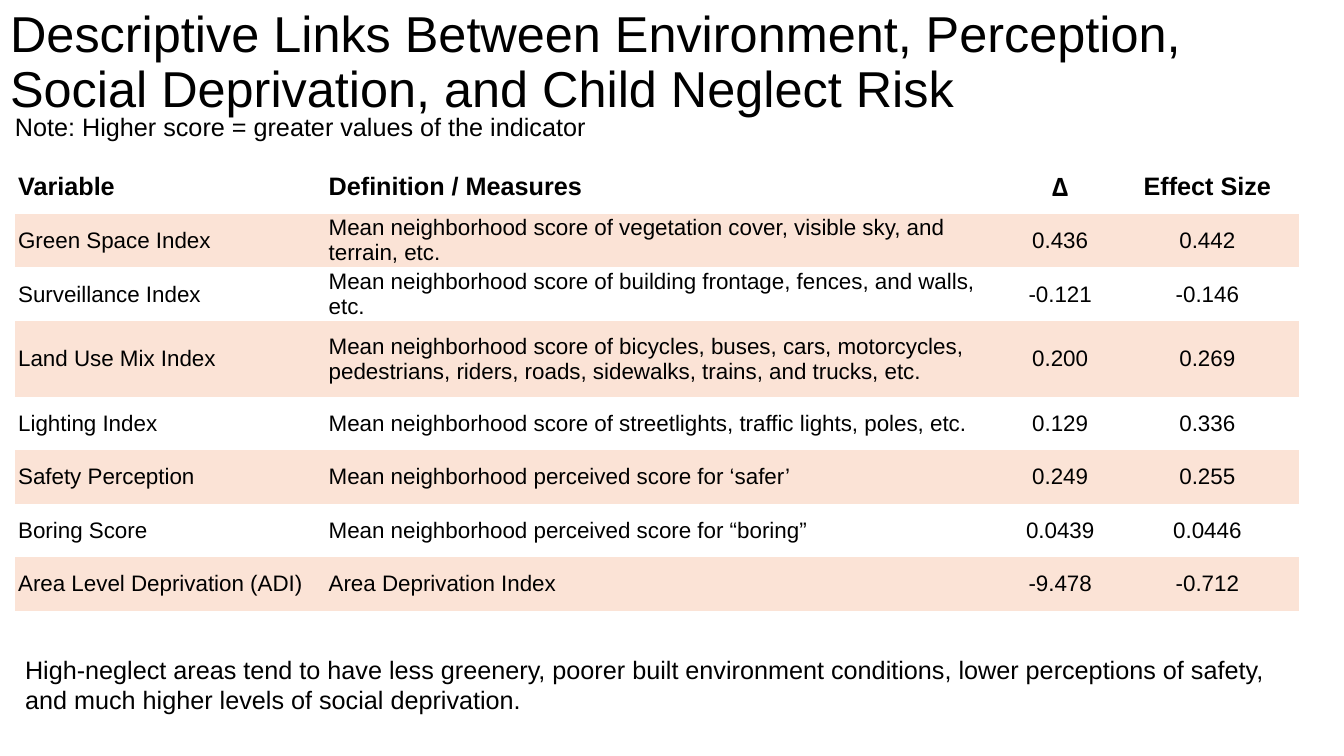
from pptx import Presentation
from pptx.dml.color import RGBColor
from pptx.enum.text import MSO_ANCHOR, MSO_AUTO_SIZE, PP_ALIGN
from pptx.oxml.ns import qn
from pptx.util import Inches, Pt

COLORS = {"text": "000000", "band": "FBE3D6"}
NO_GRID_STYLE = "{2D5ABB26-0587-4C30-8999-92F81FD0307C}"
MARGIN, CONTENT_WIDTH = 0.15, 12.74


def style(paragraph, size, bold=False, font="Arial"):
    for run in paragraph.runs:
        run.font.name = font
        run.font.size = Pt(size)
        run.font.bold = bold
        run.font.color.rgb = RGBColor.from_string(COLORS["text"])


deck = Presentation()
deck.slide_width, deck.slide_height = Inches(13.33), Inches(7.5)
slide = deck.slides.add_slide(deck.slide_layouts[5])

# Title
title = slide.shapes.title
title.left, title.top = 0, 0
title.width, title.height = Inches(12.26), Inches(1.26)
title.text_frame.text = ("Descriptive Links Between Environment, Perception, "
                         "Social Deprivation, and Child Neglect Risk")
title.text_frame.vertical_anchor = MSO_ANCHOR.MIDDLE
title.text_frame.auto_size = MSO_AUTO_SIZE.NONE
heading = title.text_frame.paragraphs[0]
heading.alignment = PP_ALIGN.LEFT
heading.line_spacing = 0.9
heading.space_after = Pt(6)
style(heading, 36)

# Indicator table: header row, then banded rows
indicators = [
    ("Variable", "Definition / Measures", "Δ", "Effect Size"),
    ("Green Space Index",
     "Mean neighborhood score of vegetation cover, visible sky, and terrain, etc.",
     "0.436", "0.442"),
    ("Surveillance Index",
     "Mean neighborhood score of building frontage, fences, and walls, etc.",
     "-0.121", "-0.146"),
    ("Land Use Mix Index",
     "Mean neighborhood score of bicycles, buses, cars, motorcycles, pedestrians, "
     "riders, roads, sidewalks, trains, and trucks, etc.",
     "0.200", "0.269"),
    ("Lighting Index",
     "Mean neighborhood score of streetlights, traffic lights, poles, etc.",
     "0.129", "0.336"),
    ("Safety Perception", "Mean neighborhood perceived score for ‘safer’",
     "0.249", "0.255"),
    ("Boring Score", "Mean neighborhood perceived score for “boring”",
     "0.0439", "0.0446"),
    ("Area Level Deprivation (ADI)", "Area Deprivation Index",
     "-9.478", "-0.712"),
]
column_widths = [3.08, 6.73, 1.11, 1.81]
row_height, tall_row_height = 0.53, 0.75

table = slide.shapes.add_table(
    len(indicators), len(column_widths), Inches(MARGIN), Inches(1.59),
    Inches(CONTENT_WIDTH), Inches(4.51)).table
table.first_row = table.horz_banding = False
table._tbl.tblPr.find(qn("a:tableStyleId")).text = NO_GRID_STYLE

for column, width in zip(table.columns, column_widths):
    column.width = Inches(width)

for r, indicator in enumerate(indicators):
    is_tall = indicator[0] == "Land Use Mix Index"
    table.rows[r].height = Inches(tall_row_height if is_tall else row_height)
    for c, value in enumerate(indicator):
        cell = table.cell(r, c)
        cell.margin_left = cell.margin_right = Inches(0.03)
        cell.margin_top = cell.margin_bottom = Inches(0.02)
        cell.vertical_anchor = MSO_ANCHOR.MIDDLE
        if r % 2:
            cell.fill.solid()
            cell.fill.fore_color.rgb = RGBColor.from_string(COLORS["band"])
        else:
            cell.fill.background()
        cell.text_frame.text = value
        entry = cell.text_frame.paragraphs[0]
        entry.alignment = PP_ALIGN.CENTER if c >= 2 else PP_ALIGN.LEFT
        style(entry, 16 if r else 18, bold=r == 0,
              font="Cabin" if value == "Δ" else "Arial")

# Note above the table and conclusion below it
remarks = [
    (0.05, 1.06, 6.77, 0.4, "Note: Higher score = greater values of the indicator"),
    (MARGIN, 6.44, CONTENT_WIDTH, 0.71,
     "High-neglect areas tend to have less greenery, poorer built environment "
     "conditions, lower perceptions of safety, and much higher levels of social "
     "deprivation."),
]
for left, top, width, height, wording in remarks:
    remark = slide.shapes.add_textbox(
        Inches(left), Inches(top), Inches(width), Inches(height)).text_frame
    remark.word_wrap = True
    remark.auto_size = MSO_AUTO_SIZE.SHAPE_TO_FIT_TEXT
    remark.text = wording
    style(remark.paragraphs[0], 18)

deck.save("out.pptx")
